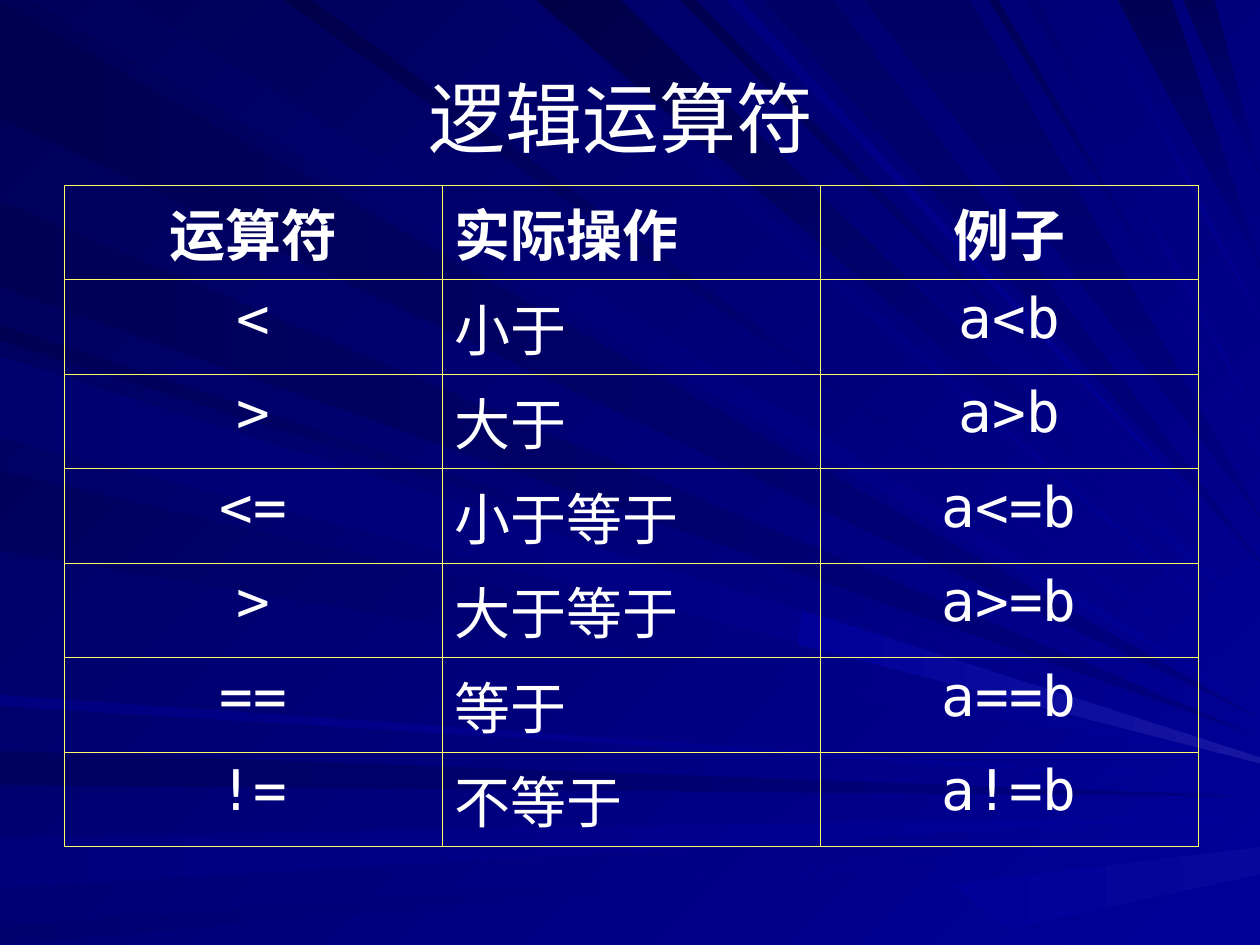
import pptx
import pptx.dml.color
import pptx.enum.text
import pptx.oxml
import pptx.oxml.ns
import pptx.util
from pptx.util import Inches

TITLE = "逻辑运算符 "
ROWS = [
    ("运算符", "实际操作", "例子"),
    ("<", "小于", "a<b"),
    (">", "大于", "a>b"),
    ("<=", "小于等于", "a<=b"),
    (">", "大于等于", "a>=b"),
    ("==", "等于", "a==b"),
    ("!=", "不等于", "a!=b"),
]
WIDTH, HEIGHT = 10, 7.5
BLUE, NAVY = "000099", "000080"
RIGHTWARD, DIAGONAL, DOWNWARD = 180, 225, 90
RAYS = [
    ("left", 0.02, 0.93, 5.7, NAVY, "000051", RIGHTWARD),
    ("top", 0.26, 1.01, 5.63, BLUE, "00005C", DIAGONAL),
    ("left", 5.96, 6.23, 6.32, NAVY, "000060", RIGHTWARD),
    ("left", 6.65, 7.04, 6.47, BLUE, "00007C", RIGHTWARD),
    ("left", 7.35, 7.5, 6.62, BLUE, "00006E", RIGHTWARD),
    ("left", 2.58, 2.7, 5.89, BLUE, "000053", DIAGONAL),
    ("left", 1.59, 2.28, 5.85, NAVY, "000055", RIGHTWARD),
    ("top", 3.98, 4.16, 5.18, BLUE, "00006A", DIAGONAL),
    ("top", 4.26, 4.92, 4.93, BLUE, "000046", DIAGONAL),
    ("top", 5.4, 5.52, 4.63, BLUE, "00004E", DIAGONAL),
    ("top", 6.06, 6.61, 4.46, "000064", NAVY, DOWNWARD),
    ("top", 8.87, 9.3, 2.1, "000055", NAVY, DOWNWARD),
    ("top", 9.39, 9.64, 1.4, "000059", NAVY, DOWNWARD),
    ("left", 2.78, 3.42, 6, BLUE, "000060", DIAGONAL),
    ("left", 3.74, 4.37, 6.05, BLUE, "00005C", DIAGONAL),
    ("left", 5.52, 5.6, 6.22, BLUE, "000081", RIGHTWARD),
    ("top", 2.25, 2.47, 5.5, BLUE, "00004A", DIAGONAL),
    ("top", 5.77, 5.88, 4.54, BLUE, "000081", DIAGONAL),
    ("top", 6.86, 7.7, 4.1, "000064", NAVY, DOWNWARD),
    ("top", 7.85, 7.92, 3.57, BLUE, "000057", DIAGONAL),
    ("top", 8.15, 8.24, 3.36, BLUE, "00006E", DIAGONAL),
    ("top", 8.65, 8.72, 2.54, BLUE, "000078", DIAGONAL),
    ("left", 2.83, 3.47, 6.03, BLUE, "00006E", RIGHTWARD),
]
GLINTS = [
    ("1616A1", [(6.37, 4.85), (6.33, 5.11), (WIDTH, 6.06), (WIDTH, 6.01)]),
    ("07079B", [(7.56, 7.02), (8, 7.37), (WIDTH, 6.94), (WIDTH, 6.72)]),
]


def rgb(value):
    return pptx.dml.color.RGBColor.from_string(value)


def paint(fill, start, end, clockwise):
    fill.gradient()
    fill.gradient_angle = 360 - clockwise
    for stop, color in zip(fill.gradient_stops, (start, end)):
        stop.color.rgb = rgb(color)


def add_outline(s, points, *gradient):
    corners = [(Inches(x), Inches(y)) for x, y in points]
    builder = s.shapes.build_freeform(*corners[0])
    builder.add_line_segments(corners[1:], close=True)
    sp = builder.convert_to_shape()
    sp.shadow.inherit = False
    sp.line.fill.background()
    paint(sp.fill, *gradient)


def add_rays(s):
    for edge, near, far, tip, *gradient in RAYS:
        base = [(0, d) if edge == "left" else (d, 0) for d in (near, far)]
        add_outline(s, base + [(WIDTH, tip)], *gradient)
    for color, points in GLINTS:
        add_outline(s, points, color, BLUE, RIGHTWARD)


def write(p, text, size, font, bold=False, centered=True):
    align = pptx.enum.text.PP_ALIGN
    p.text = text
    p.alignment = align.CENTER if centered else align.LEFT
    for r in p.runs:
        r.font.size = pptx.util.Pt(size)
        r.font.name = font
        r.font.bold = bold
        r.font.color.rgb = rgb("FFFFFF")


def set_borders(cell, color, points):
    tcPr = cell._tc.get_or_add_tcPr()
    for i, side in enumerate("LRTB"):
        tcPr.insert(i, pptx.oxml.parse_xml(
            f'<a:ln{side} {pptx.oxml.ns.nsdecls("a")} w="{pptx.util.Pt(points)}">'
            f'<a:solidFill><a:srgbClr val="{color}"/></a:solidFill></a:ln{side}>'))


def add_operators(s):
    width, height = Inches(3), Inches(0.75)
    columns = len(ROWS[0])
    table = s.shapes.add_table(len(ROWS), columns, Inches(0.51), Inches(1.47),
                               width * columns, height * len(ROWS)).table
    table.first_row = table.horz_banding = False
    for i, row in enumerate(ROWS):
        for j, text in enumerate(row):
            cell = table.cell(i, j)
            cell.fill.background()
            set_borders(cell, "FFFF66", 0.45)
            p = cell.text_frame.paragraphs[0]
            write(p, text, 32, "DejaVu Sans Mono", bold=i == 0, centered=j != 1)
            pPr = p._p.get_or_add_pPr()
            pPr.set("marL", str(Inches(0.38)))
            pPr.set("indent", str(Inches(-0.38)))


def main():
    """Build the slide on logical operators."""
    prs = pptx.Presentation()
    prs.slide_width, prs.slide_height = Inches(WIDTH), Inches(HEIGHT)
    s = prs.slides.add_slide(prs.slide_layouts[6])
    paint(s.background.fill, BLUE, "000057", DIAGONAL)
    add_rays(s)
    tf = s.shapes.add_textbox(Inches(0.5), Inches(0.3), Inches(9), Inches(1.25)).text_frame
    tf.word_wrap = True
    tf.vertical_anchor = pptx.enum.text.MSO_ANCHOR.MIDDLE
    write(tf.paragraphs[0], TITLE, 44, "Arial")
    add_operators(s)
    prs.save("out.pptx")


if __name__ == "__main__":
    main()
